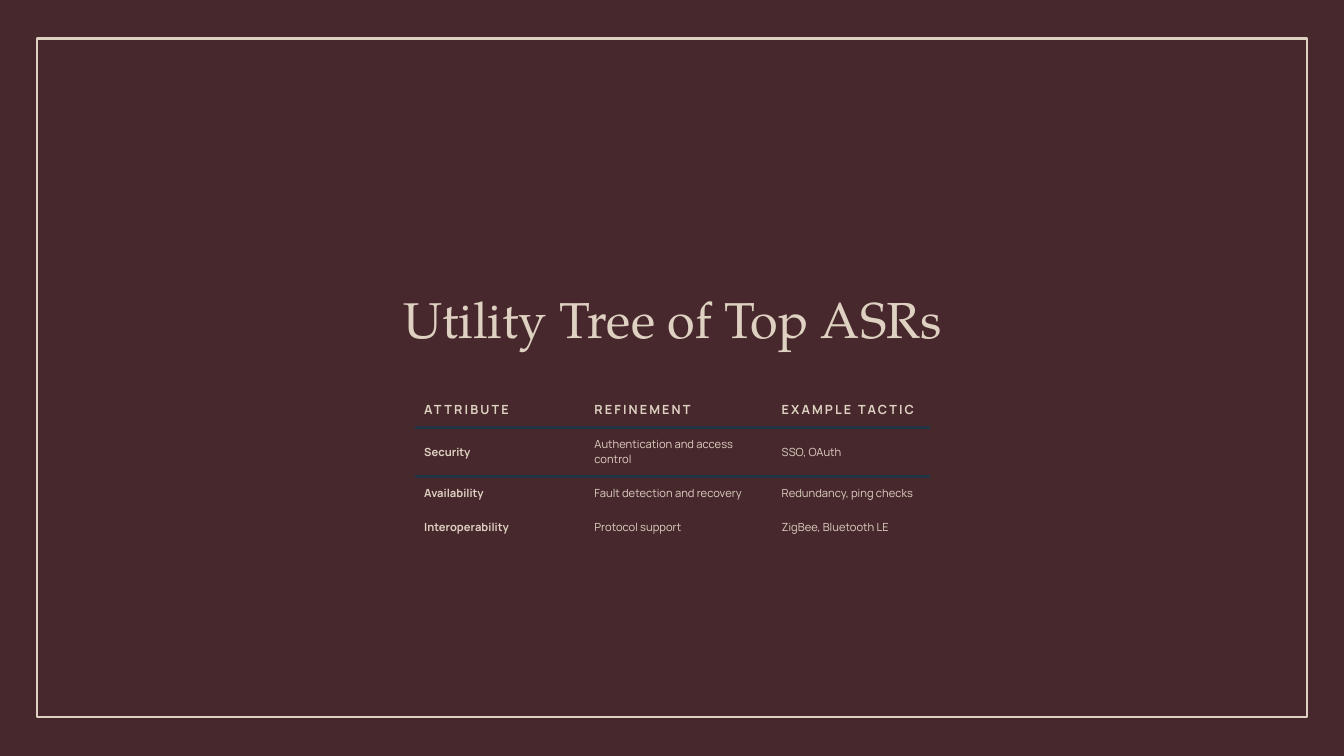
"""Build the utility tree slide: a framed title above a table of attributes."""
from dataclasses import dataclass

from lxml.etree import SubElement
from pptx import Presentation
from pptx.dml.color import RGBColor
from pptx.enum.shapes import MSO_SHAPE
from pptx.enum.text import MSO_ANCHOR, MSO_AUTO_SIZE, PP_ALIGN
from pptx.oxml import parse_xml
from pptx.oxml.ns import nsdecls, qn
from pptx.util import Cm, Pt

TITLE = "Utility Tree of Top ASRs"
HEADINGS = ("ATTRIBUTE", "REFINEMENT", "EXAMPLE TACTIC")
QUALITIES = [
    ("Security", "Authentication and access control", "SSO, OAuth"),
    ("Availability", "Fault detection and recovery", "Redundancy, ping checks"),
    ("Interoperability", "Protocol support", "ZigBee, Bluetooth LE"),
]

SLIDE_SIZE = Cm(33.87), Cm(19.05)
FRAME_BOX = Cm(0.94), Cm(0.97), Cm(32), Cm(17.09)
TITLE_BOX = Cm(7.75), Cm(5.92), Cm(18.39), Cm(2.97)
TREE_LEFT, TREE_TOP = Cm(10.46), Cm(9.86)
COLUMN_WIDTHS = Cm(4.29), Cm(4.72), Cm(3.96)
HEADING_HEIGHT, QUALITY_HEIGHT = Cm(0.91), Cm(0.84)
CELL_MARGIN = Cm(0.23)
PLAIN_STYLE = "{2D5ABB26-0587-4C30-8999-92F81FD0307C}"


@dataclass(frozen=True)
class Theme:
    ground: str = "47292D"
    ink: str = "DFD1C2"
    rule: str = "223343"
    title_font: str = "TeX Gyre Pagella"
    body_font: str = "Manrope"
    title_size: int = 36
    heading_size: int = 9
    body_size: int = 8
    frame_width: float = 1.5
    rule_width: float = 2.25
    heading_tracking: int = 150


THEME = Theme()


def set_font(paragraph, name, size, bold=False):
    font = paragraph.font
    font.name, font.size, font.bold = name, Pt(size), bold
    font.color.rgb = RGBColor.from_string(THEME.ink)


def add_rule(cell, side):
    edge = parse_xml(f'<a:{side} {nsdecls("a")} w="{Pt(THEME.rule_width)}"/>')
    color = SubElement(SubElement(edge, qn("a:solidFill")), qn("a:srgbClr"))
    color.set("val", THEME.rule)
    cell._tc.get_or_add_tcPr().insert(0, edge)


def add_frame(slide):
    frame = slide.shapes.add_shape(MSO_SHAPE.RECTANGLE, *FRAME_BOX)
    frame.shadow.inherit = False
    frame.fill.background()
    frame.line.color.rgb = RGBColor.from_string(THEME.ink)
    frame.line.width = Pt(THEME.frame_width)
    slide.shapes._spTree.insert(2, frame._element)


def add_title(slide):
    title = slide.shapes.title
    title.left, title.top, title.width, title.height = TITLE_BOX
    title.text_frame.text = TITLE
    title.text_frame.auto_size = MSO_AUTO_SIZE.NONE
    title.text_frame.vertical_anchor = MSO_ANCHOR.BOTTOM
    heading = title.text_frame.paragraphs[0]
    heading.alignment = PP_ALIGN.CENTER
    heading.line_spacing = 0.8
    set_font(heading, THEME.title_font, THEME.title_size)


def fill_cell(cell, words, is_heading, is_bold):
    cell.text = words
    cell.fill.background()
    cell.vertical_anchor = MSO_ANCHOR.MIDDLE
    cell.margin_left = cell.margin_right = CELL_MARGIN
    cell.margin_top = cell.margin_bottom = CELL_MARGIN
    paragraph = cell.text_frame.paragraphs[0]
    size = THEME.heading_size if is_heading else THEME.body_size
    set_font(paragraph, THEME.body_font, size, is_bold)
    if is_heading:
        run_properties = paragraph.runs[0]._r.get_or_add_rPr()
        run_properties.set("spc", str(THEME.heading_tracking))


def add_utility_tree(slide):
    rows = [HEADINGS, *QUALITIES]
    heights = [HEADING_HEIGHT] + [QUALITY_HEIGHT] * len(QUALITIES)
    tree = slide.shapes.add_table(
        len(rows), len(HEADINGS), TREE_LEFT, TREE_TOP,
        sum(COLUMN_WIDTHS), sum(heights)).table
    tree.horz_banding = False
    tree._tbl.tblPr.find(qn("a:tableStyleId")).text = PLAIN_STYLE
    for column, width in zip(tree.columns, COLUMN_WIDTHS):
        column.width = width
    for r, (entries, height) in enumerate(zip(rows, heights)):
        tree.rows[r].height = height
        for c, words in enumerate(entries):
            cell = tree.cell(r, c)
            fill_cell(cell, words, is_heading=r == 0, is_bold=r == 0 or c == 0)
            if r < 2:
                add_rule(cell, ("lnB", "lnT")[r])


def main():
    deck = Presentation()
    deck.slide_width, deck.slide_height = SLIDE_SIZE
    slide = deck.slides.add_slide(deck.slide_layouts[5])
    slide.background.fill.solid()
    slide.background.fill.fore_color.rgb = RGBColor.from_string(THEME.ground)
    add_frame(slide)
    add_title(slide)
    add_utility_tree(slide)
    deck.save("out.pptx")


if __name__ == "__main__":
    main()
